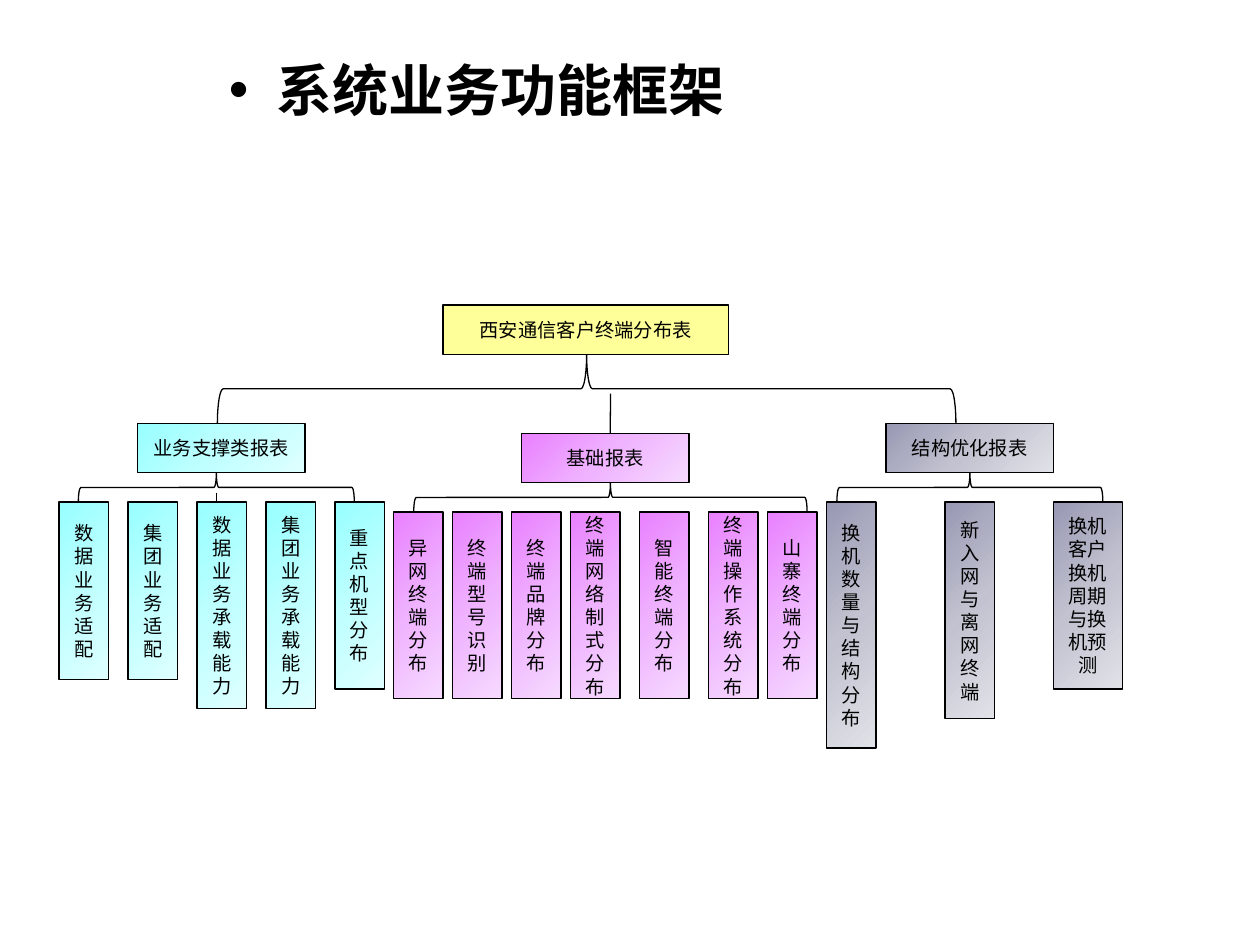
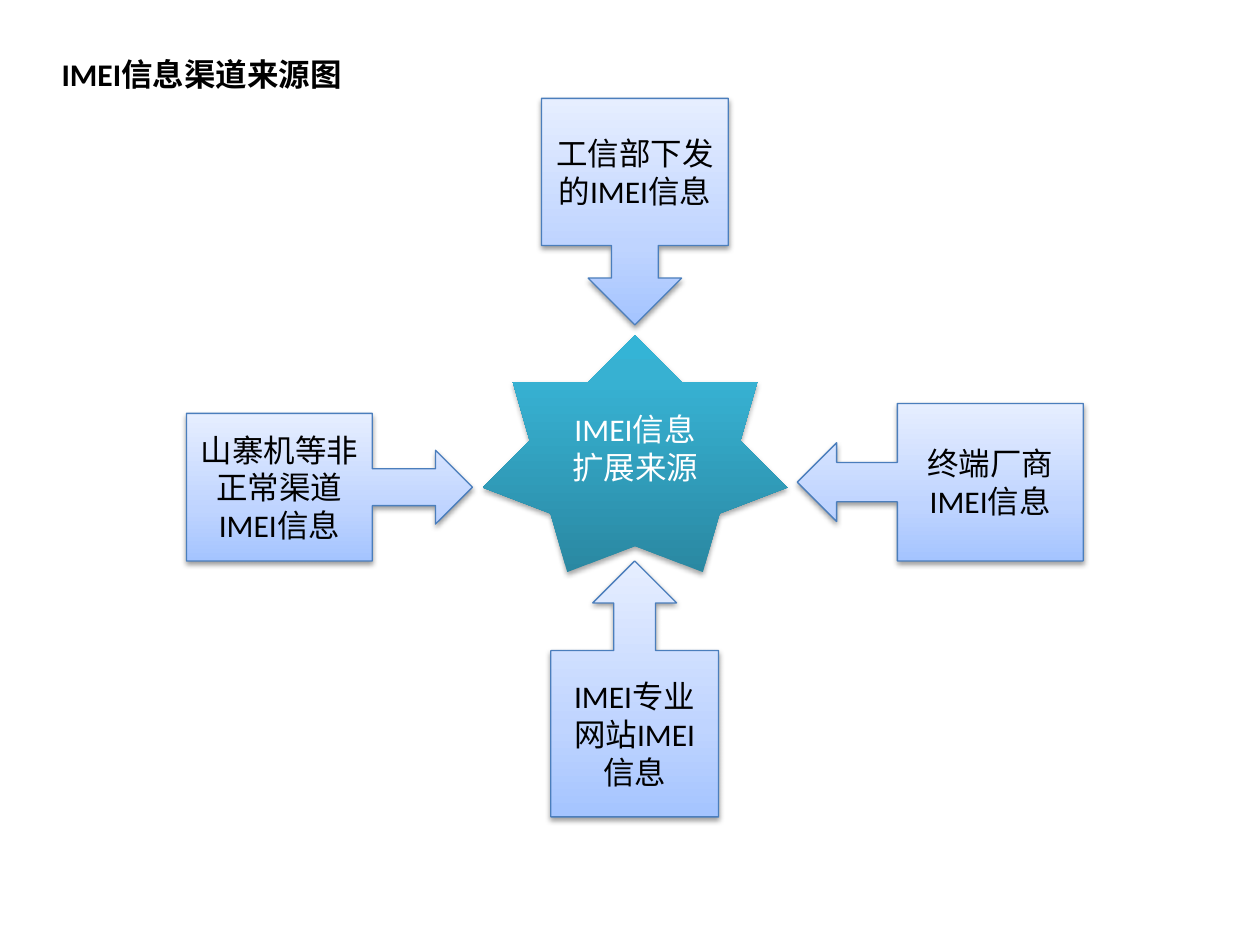
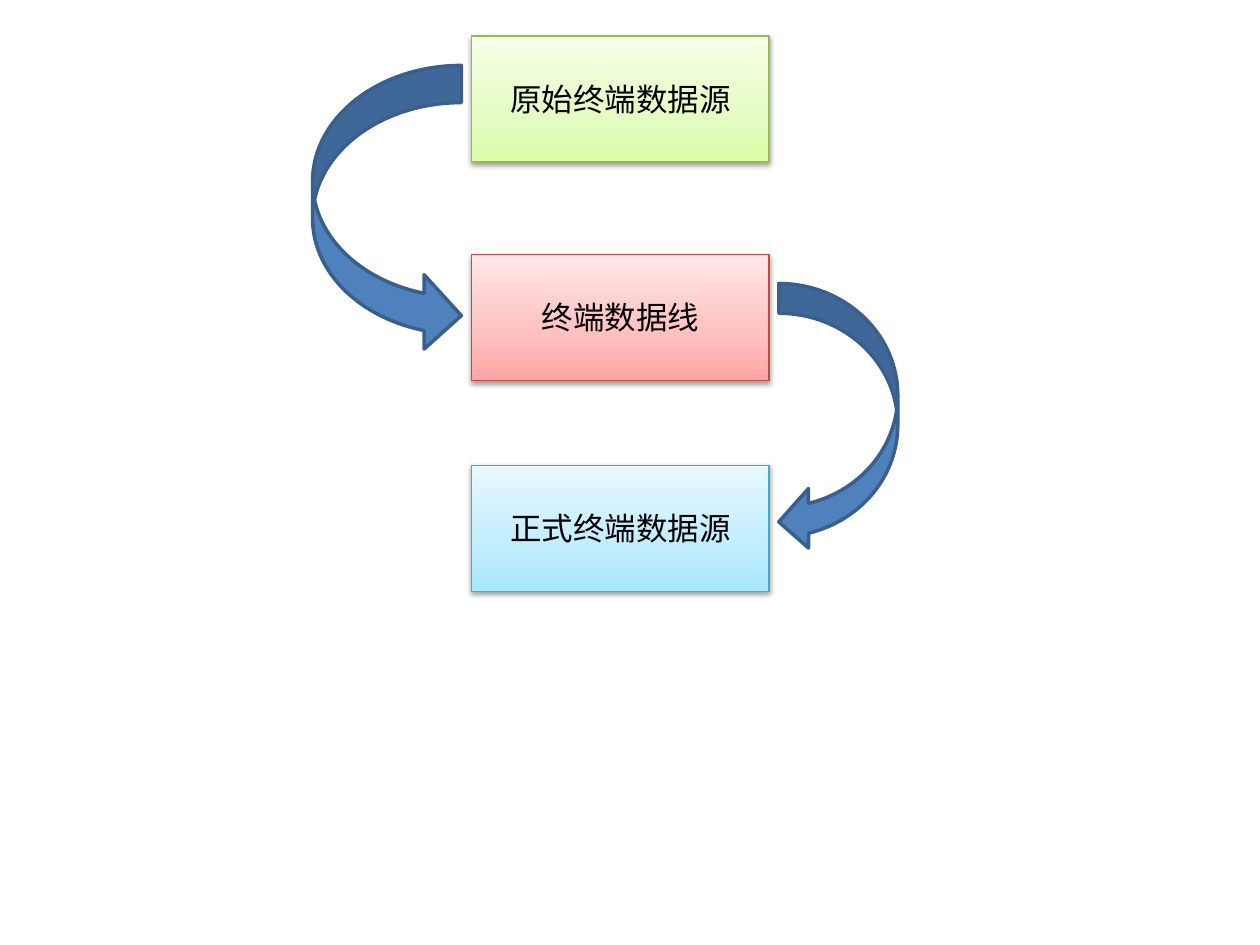
from copy import deepcopy

from pptx import Presentation
from pptx import util as u
from pptx.dml.color import RGBColor
from pptx.enum import shapes, text
from pptx.oxml import parse_xml
from pptx.oxml.ns import nsdecls, qn

Pt = u.Pt
Kind = shapes.MSO_SHAPE
hue = RGBColor.from_string

FONT = "Calibri"
BLACK, WHITE = "000000", "FFFFFF"
CYAN = [(0, "97FFFF"), (0.5, "BFFFFF"), (1, "DFFFFF")]
PINK = [(0, "E980FF"), (0.5, "EFB3FF"), (1, "F6DAFF")]
GREY = [(0, "9898B4"), (0.5, "C2C2D0"), (1, "E1E1E8")]
BLUE = [(0, "A4C4FF"), (0.35, "BFD4FF"), (1, "E6EEFF")]
TEAL = [(0, "2A88A2"), (0.8, "37B1D2"), (1, "34B4D6")]
GREEN = [(0, "DAFDA7"), (0.35, "E4FCC2"), (1, "F5FFE7")]
RED = [(0, "FFA6A5"), (0.35, "FFC0BF"), (1, "FFE7E7")]
SKY = [(0, "A7E6FF"), (0.35, "C1EDFF"), (1, "E7F8FF")]


def write(frame, words, size, color=BLACK, bold=None, gap=None):
    """Fill the first paragraph of a text frame and return it."""
    frame.word_wrap = True
    para = frame.paragraphs[0]
    if gap:
        para.space_before = Pt(gap)
    run = para.add_run()
    run.text = words
    run.font.name, run.font.size, run.font.bold = FONT, Pt(size), bold
    run.font.color.rgb = hue(color)
    return para


def draw(slide, kind, area, fill, line=BLACK, width=0.75, angle=90, shade=None):
    """Add a shape; fill is a hex colour or gradient stops, shade is (alpha %, distance)."""
    shape = slide.shapes.add_shape(kind, *map(Pt, area))
    shape.shadow.inherit = False
    if isinstance(fill, str):
        shape.fill.solid()
        shape.fill.fore_color.rgb = hue(fill)
    else:
        shape.fill.gradient()
        shape.fill.gradient_angle = angle
        stops = shape._element.spPr.find(qn("a:gradFill")).find(qn("a:gsLst"))
        stops.append(deepcopy(stops[0]))
        for stop, (place, color) in zip(shape.fill.gradient_stops, fill):
            stop.position = place
            stop.color.rgb = hue(color)
    if line:
        shape.line.color.rgb = hue(line)
        shape.line.width = Pt(width)
    else:
        shape.line.fill.background()
    if shade:
        alpha, dist = shade
        shape._element.spPr.find(qn("a:effectLst")).append(parse_xml(
            f'<a:outerShdw {nsdecls("a")} blurRad="{Pt(3.1)}" dist="{Pt(dist)}" '
            f'dir="5400000" rotWithShape="0"><a:srgbClr val="{BLACK}">'
            f'<a:alpha val="{alpha * 1000}"/></a:srgbClr></a:outerShdw>'))
    shape.text_frame.vertical_anchor = text.MSO_ANCHOR.MIDDLE
    shape.text_frame.paragraphs[0].alignment = text.PP_ALIGN.CENTER
    return shape


deck = Presentation()
deck.slide_width, deck.slide_height = Pt(720), Pt(540)
blank = deck.slide_layouts[6]

# Slide 1: tree of reports
tree = deck.slides.add_slide(blank)
BOX, HEAD = 28.2, 95.8
groups = [
    ("业务支撑类报表", CYAN, 78.6, 241.9, 123.6, 157.7, [
        (33.8, BOX, 101.5, "数据业务适配"),
        (73.2, BOX, 101.5, "集团业务适配"),
        (112.6, BOX, 118.1, "数据业务承载能力"),
        (152, BOX, 118.1, "集团业务承载能力"),
        (191.4, BOX, 106.8, "重点机型分布")]),
    ("基础报表", PINK, 298, 247.6, 348.8, 224.8, [
        (225, BOX, 106.8, "异网终端分布"),
        (258.7, BOX, 106.8, "终端型号识别"),
        (292.4, BOX, 106.8, "终端品牌分布"),
        (326.1, BOX, 106.8, "终端网络制式分布"),
        (365.6, BOX, 106.8, "智能终端分布"),
        (405, BOX, 106.8, "终端操作系统分布"),
        (438.7, BOX, 106.8, "山寨终端分布")]),
    ("结构优化报表", GREY, 506.3, 241.9, 554.2, 152, [
        (472.4, BOX, 140.6, "换机数量与结构分布"),
        (540, BOX, 123.8, "新入网与离网终端"),
        (601.9, 39.4, 106.8, "换机客户换机周期与换机预测")]),
]

boxes = [((253.2, 174.3, 163.2, BOX), "FFFF99", "西安通信客户终端分布表")]
braces = [(335.2, 202.5, 39.4, 422)]
for name, tint, left, top, mid, span, leaves in groups:
    boxes.append(((left, top, HEAD, BOX), tint, name))
    braces.append((mid, top + BOX, 16.8, span))
    for x, wide, high, words in leaves:
        boxes.append(((x, top + 45, wide, high), tint, words))

for mid, top, high, span in braces:
    # The frame is upright before the quarter turn
    area = (mid - high / 2, top + high / 2 - span / 2, high, span)
    draw(tree, Kind.LEFT_BRACE, area, WHITE).rotation = 90
for ends in [(123.8, 281.5, 123.8, 286.6), (348.9, 224.9, 348.7, 247.6)]:
    link = tree.shapes.add_connector(shapes.MSO_CONNECTOR.STRAIGHT, *map(Pt, ends))
    link.line.color.rgb = hue(BLACK)
    link.line.width = Pt(0.75)
    link._element.spPr.append(parse_xml(f'<a:effectLst {nsdecls("a")}/>'))
for area, tint, words in boxes:
    box = draw(tree, Kind.RECTANGLE, area, tint, angle=315)
    write(box.text_frame, words, 11, gap=2.2)

title = tree.shapes.add_textbox(Pt(123.8), Pt(28.1), Pt(504), Pt(61.9))
para = write(title.text_frame, "系统业务功能框架", 32, bold=True, gap=6.4)
props = para._p.get_or_add_pPr()
props.set("marL", str(Pt(27)))
props.set("indent", str(Pt(-27)))
props.append(parse_xml(f'<a:buFont {nsdecls("a")} typeface="Arial"/>'))
props.append(parse_xml(f'<a:buChar {nsdecls("a")} char="•"/>'))

# Slide 2: four sources around a star
hub = deck.slides.add_slide(blank)
star = draw(hub, Kind.STAR_7_POINT, (275.8, 191.5, 174.2, 135.4), TEAL, None, shade=(35, 1.8))
write(star.text_frame, "IMEI信息扩展来源", 18, WHITE)
for kind, area, words in [
    (Kind.RIGHT_ARROW_CALLOUT, (106.6, 236.2, 163.4, 84.4), "山寨机等非正常渠道IMEI信息"),
    (Kind.UP_ARROW_CALLOUT, (314.8, 320.6, 95.8, 146.2), "IMEI专业网站IMEI信息"),
    (Kind.LEFT_ARROW_CALLOUT, (455.6, 230.5, 163.4, 90), "终端厂商IMEI信息"),
    (Kind.DOWN_ARROW_CALLOUT, (309.4, 56.2, 106.8, 129.4), "工信部下发的IMEI信息"),
]:
    box = draw(hub, kind, area, BLUE, "4B7EBC", shade=(38, 1.6))
    write(box.text_frame, words, 18)
title = hub.shapes.add_textbox(Pt(28.1), Pt(28.1), Pt(241.9), Pt(29))
write(title.text_frame, "IMEI信息渠道来源图", 18, bold=True)

# Slide 3: data flow
flow = deck.slides.add_slide(blank)
for top, tint, edge, words in [
    (20.6, GREEN, "98B955", "原始终端数据源"),
    (145.4, RED, "BF4C48", "终端数据线"),
    (265.9, SKY, "46AAC5", "正式终端数据源"),
]:
    box = draw(flow, Kind.RECTANGLE, (269.5, top, 170, 72), tint, edge, shade=(38, 1.6))
    write(box.text_frame, words, 18)
for kind, area in [
    (Kind.CURVED_RIGHT_ARROW, (178.6, 37.4, 85, 164.2)),
    (Kind.CURVED_LEFT_ARROW, (445, 162, 68, 153.2)),
]:
    draw(flow, kind, area, "4F81BD", "3A5F8C", 2)

deck.save("out.pptx")
